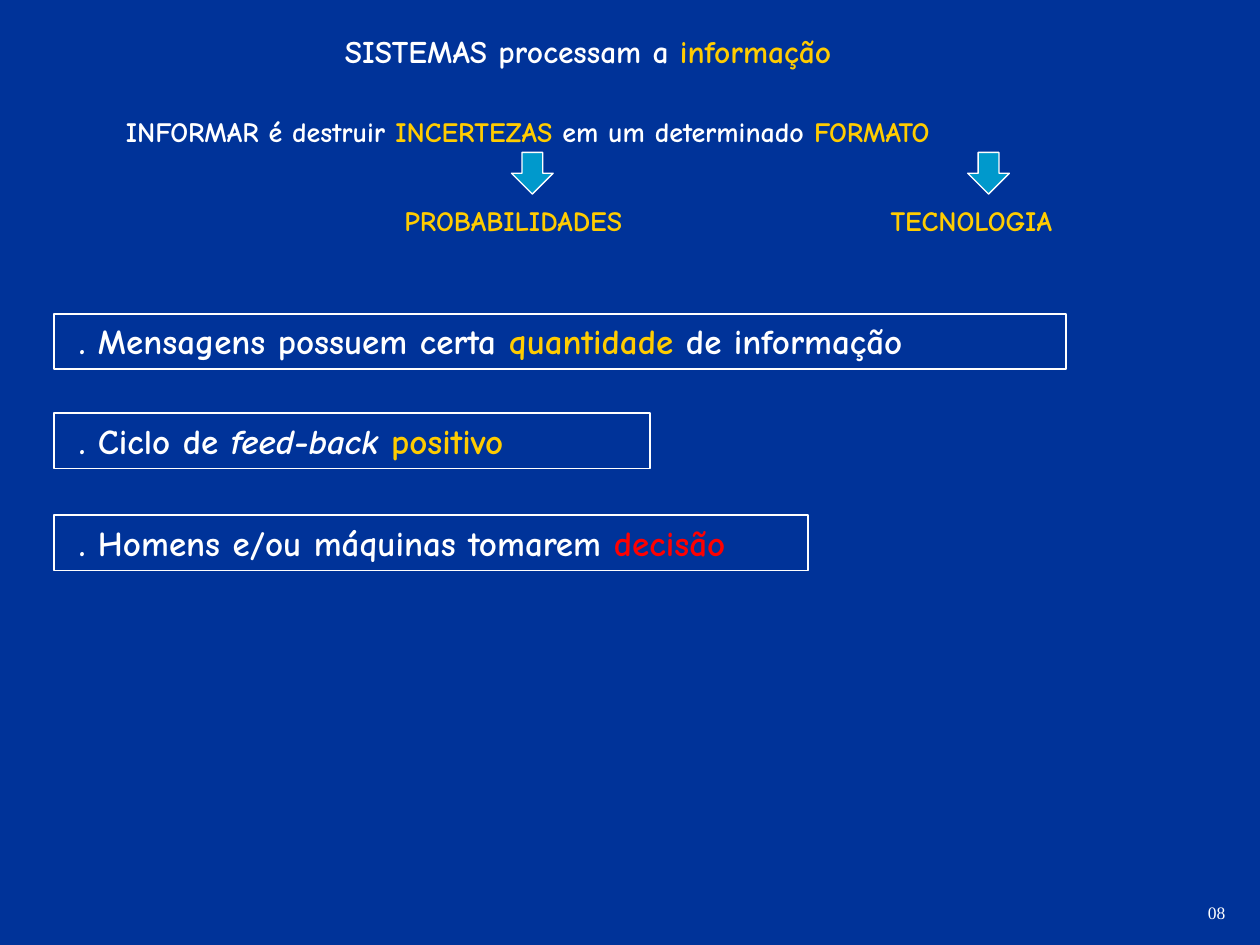
from pptx import Presentation
from pptx.dml.color import RGBColor
from pptx.enum.shapes import MSO_SHAPE
from pptx.enum.text import MSO_ANCHOR, MSO_AUTO_SIZE, PP_ALIGN
from pptx.util import Pt

ARROW = MSO_SHAPE.DOWN_ARROW
RECT = MSO_SHAPE.RECTANGLE
TOP = MSO_ANCHOR.TOP
GROW = MSO_AUTO_SIZE.SHAPE_TO_FIT_TEXT
LEFT = PP_ALIGN.LEFT

NAVY, WHITE, GOLD, RED, TEAL = "003399", "FFFFFF", "FFCC00", "FF0000", "0099CC"
COMIC, TIMES = "Comic Neue", "Times New Roman"


def paint(color, code):
    """Give a colour format a hex colour."""
    color.rgb = RGBColor.from_string(code)


def write(shape, runs, size, face=COMIC, bold=True):
    """Fill a shape with one line of (text, colour, italic) runs."""
    frame = shape.text_frame
    frame.word_wrap = True
    frame.auto_size = GROW
    frame.vertical_anchor = TOP
    line = frame.paragraphs[0]
    line.alignment = LEFT
    line.font.size = Pt(size)
    line.font.name = face
    line.font.bold = bold
    for text, code, *slant in runs:
        run = line.add_run()
        run.text = text
        paint(run.font.color, code)
        if slant:
            run.font.italic = slant[0]


def add_text(slide, x, y, w, h, runs, size, **style):
    """Add a plain line of text."""
    box = slide.shapes.add_textbox(Pt(x), Pt(y), Pt(w), Pt(h))
    write(box, runs, size, **style)


def add_shape(slide, kind, x, y, w, h, weight, fill=None):
    """Add a white-edged shape, hollow unless a fill is given."""
    shape = slide.shapes.add_shape(kind, Pt(x), Pt(y), Pt(w), Pt(h))
    shape.shadow.inherit = False
    paint(shape.line.color, WHITE)
    shape.line.width = Pt(weight)
    if fill:
        shape.fill.solid()
        paint(shape.fill.fore_color, fill)
    else:
        shape.fill.background()
    return shape


def add_point(slide, y, w, runs):
    """Add a framed statement at the left margin."""
    frame = add_shape(slide, RECT, 31, y, w, 31.7, 1)
    write(frame, runs, 20)


def add_term(slide, arrow, x, w, word):
    """Add a down arrow and the term it leads to."""
    add_shape(slide, ARROW, arrow, 87.1, 23.8, 23.8, 0.75, TEAL)
    add_text(slide, x, 113, w, 26.6, [(word, GOLD)], 16)


def main():
    """Build and save the slide."""
    deck = Presentation()
    deck.slide_width, deck.slide_height = Pt(720), Pt(540)
    slide = deck.slides.add_slide(deck.slide_layouts[6])
    back = slide.background.fill
    back.solid()
    paint(back.fore_color, NAVY)

    add_text(slide, 190, 15, 340, 29,
             [("SISTEMAS processam a ", WHITE), ("informação", GOLD)], 18)
    add_text(slide, 64.8, 62, 555.8, 26.6,
             [("INFORMAR é destruir ", WHITE), ("INCERTEZAS", GOLD),
              (" em um determinado ", WHITE), ("FORMATO", GOLD)], 16)
    add_term(slide, 292.3, 224, 162, "PROBABILIDADES")
    add_term(slide, 553, 501.8, 130.3, "TECNOLOGIA")

    points = [
        (179.3, 578.2, [(" . Mensagens possuem certa ", WHITE),
                        ("quantidade", GOLD), (" de informação", WHITE)]),
        (236, 340.6, [(" . Ciclo de ", WHITE),
                      ("feed-back ", WHITE, True), ("positivo", GOLD)]),
        (294.3, 430.6, [(" . Homens e/ou máquinas tomarem ", WHITE),
                        ("decisão", RED)]),
    ]
    for y, w, runs in points:
        add_point(slide, y, w, runs)

    add_text(slide, 683.2, 512, 28, 19.4, [("08", WHITE)], 10,
             face=TIMES, bold=False)
    deck.save("out.pptx")


if __name__ == "__main__":
    main()
